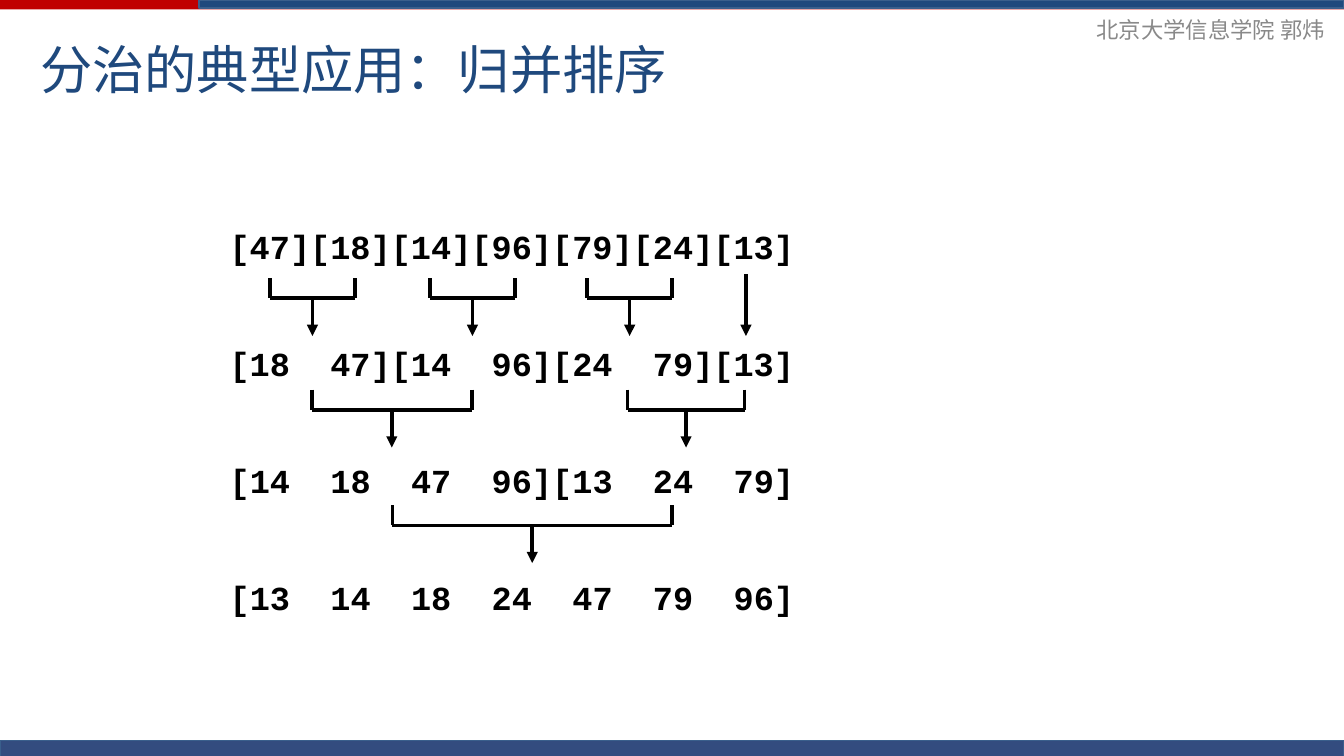
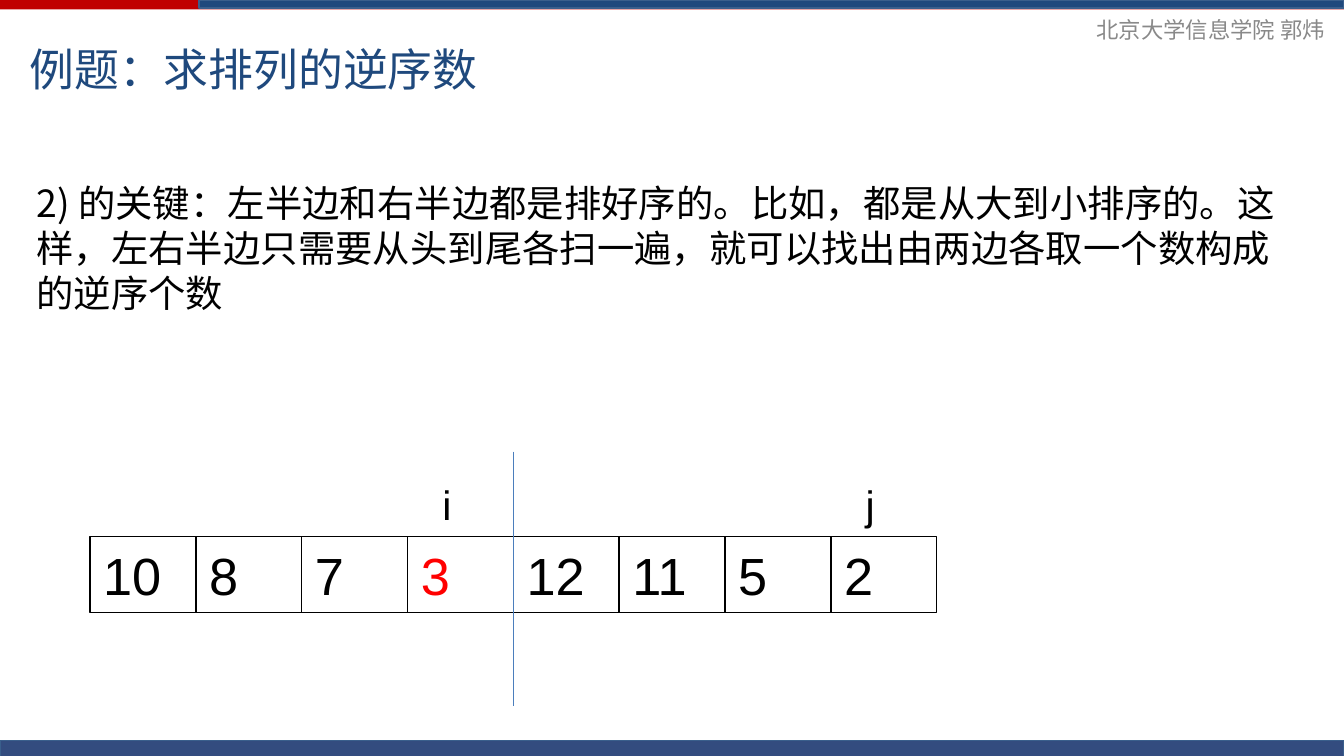
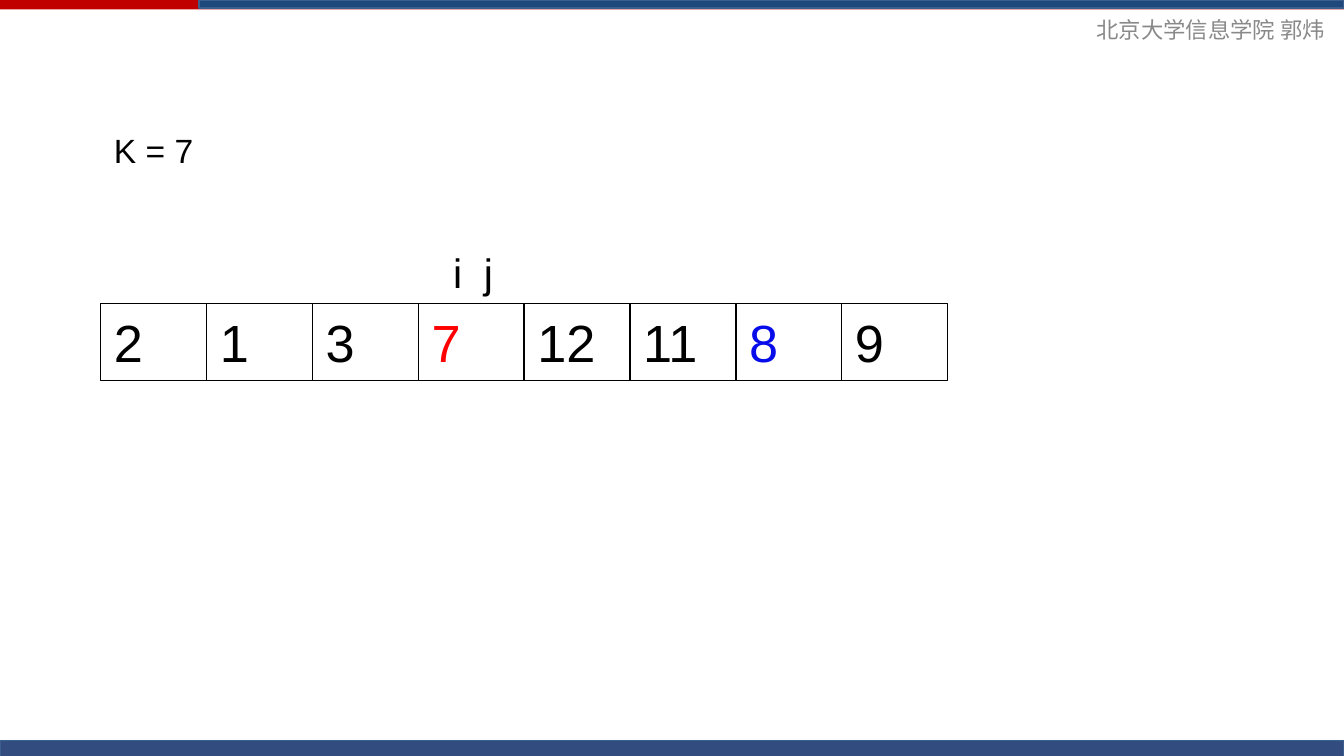
from dataclasses import dataclass, field

from lxml import etree
from pptx import Presentation
from pptx import util as u
from pptx.dml import color as dml
from pptx.enum import shapes, text
from pptx.oxml import ns

BLACK, RED, BLUE, NAVY, GREY = "000000", "FF0000", "070CEB", "1F497D", "898989"
BAND_LINE, DIVIDER = "3A5F8C", "4B7EBC"
SANS, MONO, SERIF, CJK = "Arial", "Courier New", "Times New Roman", "Noto Sans CJK SC"
TITLE_ONLY, BLANK = 5, 6
ROW_WIDTH, CELL_HEIGHT = 6.3, 0.57
POINTER_WIDTH, POINTER_HEIGHT, POINTER_INDENT = 0.39, 0.47, 0.16
STUB, ARROW = 0.15, 0.28


@dataclass(frozen=True)
class Style:
    size: float
    font: str = SANS
    color: str = BLACK
    bold: bool = False


@dataclass(frozen=True)
class Box:
    left: float
    top: float
    width: float
    height: float

    def lengths(self) -> tuple:
        return tuple(u.Inches(value) for value in (self.left, self.top, self.width, self.height))


@dataclass(frozen=True)
class Band:
    box: Box
    color: str
    outlined: bool = True
    opacity: int = 100


@dataclass(frozen=True)
class Merge:
    left: float
    right: float
    top: float


@dataclass(frozen=True)
class Pointer:
    name: str
    column: int
    shift: float = 0


@dataclass(frozen=True)
class NumberRow:
    left: float
    top: float
    values: tuple
    pointers: tuple
    highlights: dict = field(default_factory=dict)


BANDS = (
    Band(Box(0, 0, 10, 0.07), "C00000", outlined=False),
    Band(Box(1.48, 0, 8.52, 0.06), NAVY),
    Band(Box(0, 5.51, 10, 0.12), "002060", opacity=80),
)
SORT_STAGES = (
    (4.57, ((47,), (18,), (14,), (96,), (79,), (24,), (13,))),
    (4.57, ((18, 47), (14, 96), (24, 79), (13,))),
    (4.42, ((14, 18, 47, 96), (13, 24, 79))),
    (4.42, ((13, 14, 18, 24, 47, 79, 96),)),
)
MERGES = (
    Merge(2.01, 2.64, 2.07),
    Merge(3.2, 3.83, 2.07),
    Merge(4.37, 5, 2.07),
    Merge(2.32, 3.51, 2.9),
    Merge(4.67, 5.54, 2.9),
    Merge(2.92, 5, 3.76),
)
SORTED_HALVES = NumberRow(
    0.67, 3.99, (10, 8, 7, 3, 12, 11, 5, 2),
    (Pointer("i", 3), Pointer("j", 7)), {3: RED},
)
PARTITION = NumberRow(
    0.75, 2.26, (2, 1, 3, 7, 12, 11, 8, 9),
    (Pointer("i", 3), Pointer("j", 3, 0.23)), {3: RED, 6: BLUE},
)


def rgb(value: str) -> dml.RGBColor:
    return dml.RGBColor.from_string(value)


def write(shape, content: str, style: Style, align=text.PP_ALIGN.LEFT,
          anchor=text.MSO_ANCHOR.TOP, wrap: bool = True, grow: bool = False):
    frame = shape.text_frame
    frame.text = content
    frame.word_wrap = wrap
    frame.auto_size = text.MSO_AUTO_SIZE.SHAPE_TO_FIT_TEXT if grow else text.MSO_AUTO_SIZE.NONE
    frame.vertical_anchor = anchor
    paragraph = frame.paragraphs[0]
    paragraph.alignment = align
    for run in paragraph.runs:
        run.font.size = u.Pt(style.size)
        run.font.bold = style.bold
        run.font.color.rgb = rgb(style.color)
        run.font.name = style.font
        east_asian = etree.SubElement(run.font._element, ns.qn("a:ea"))
        east_asian.set("typeface", CJK)
    return frame


def add_text(slide, box: Box, content: str, style: Style, **options):
    return write(slide.shapes.add_textbox(*box.lengths()), content, style, **options)


def add_rectangle(slide, box: Box):
    shape = slide.shapes.add_shape(shapes.MSO_SHAPE.RECTANGLE, *box.lengths())
    shape.shadow.inherit = False
    return shape


def add_band(slide, band: Band) -> None:
    shape = add_rectangle(slide, band.box)
    shape.fill.solid()
    shape.fill.fore_color.rgb = rgb(band.color)
    if band.opacity < 100:
        solid = shape._element.spPr.find(ns.qn("a:solidFill"))
        etree.SubElement(solid[0], ns.qn("a:alpha")).set("val", str(band.opacity * 1000))
    if band.outlined:
        shape.line.color.rgb = rgb(BAND_LINE)
        shape.line.width = u.Pt(0)
    else:
        shape.line.fill.background()


def add_line(slide, start: tuple, end: tuple, color: str = BLACK,
             width: float = 2, arrow: bool = False) -> None:
    points = (u.Inches(value) for value in (*start, *end))
    line = slide.shapes.add_connector(shapes.MSO_CONNECTOR.STRAIGHT, *points)
    line.line.color.rgb = rgb(color)
    line.line.width = u.Pt(width)
    if arrow:
        etree.SubElement(line.line._get_or_add_ln(), ns.qn("a:tailEnd")).set("type", "triangle")
    etree.SubElement(line._element.spPr, ns.qn("a:effectLst"))


def add_merge(slide, merge: Merge) -> None:
    bar = merge.top + STUB
    middle = (merge.left + merge.right) / 2
    for side in (merge.left, merge.right):
        add_line(slide, (side, merge.top), (side, bar))
    add_line(slide, (merge.left, bar), (merge.right, bar))
    add_line(slide, (middle, bar), (middle, bar + ARROW), arrow=True)


def add_number_row(slide, row: NumberRow) -> None:
    pitch = ROW_WIDTH / len(row.values)
    for column, value in enumerate(row.values):
        cell = add_rectangle(slide, Box(row.left + column * pitch, row.top, pitch, CELL_HEIGHT))
        cell.fill.background()
        cell.line.color.rgb = rgb(BLACK)
        cell.line.width = u.Pt(0.75)
        write(cell, str(value), Style(28, color=row.highlights.get(column, BLACK)), grow=True)
    for pointer in row.pointers:
        left = row.left + pointer.column * pitch + POINTER_INDENT + pointer.shift
        box = Box(left, row.top - POINTER_HEIGHT, POINTER_WIDTH, POINTER_HEIGHT)
        add_text(slide, box, pointer.name, Style(22), grow=True)


def add_slide(presentation, layout: int):
    slide = presentation.slides.add_slide(presentation.slide_layouts[layout])
    for band in BANDS:
        add_band(slide, band)
    add_text(slide, Box(7.63, 0.07, 2.33, 0.3), "北京大学信息学院 郭炜", Style(12, SERIF, GREY),
             align=text.PP_ALIGN.RIGHT, anchor=text.MSO_ANCHOR.MIDDLE)
    return slide


def add_titled_slide(presentation, title: str, left: float, size: float):
    slide = add_slide(presentation, TITLE_ONLY)
    shape = slide.shapes.title
    shape.left, shape.top, shape.width, shape.height = Box(left, 0.14, 9, 0.74).lengths()
    write(shape, title, Style(size, color=NAVY), anchor=text.MSO_ANCHOR.MIDDLE)
    return slide


def build_merge_sort(presentation) -> None:
    slide = add_titled_slide(presentation, "分治的典型应用：归并排序", 0.2, 28)
    for index, (width, groups) in enumerate(SORT_STAGES):
        content = "".join(f"[{'  '.join(map(str, group))}]" for group in groups)
        add_text(slide, Box(1.61, 1.63 + index * 0.87, width, 0.4), content,
                 Style(18, MONO, bold=True), wrap=False, grow=True)
    for merge in MERGES:
        add_merge(slide, merge)
    add_line(slide, (5.55, 2.04), (5.55, 2.5), arrow=True)


def build_inversions(presentation) -> None:
    slide = add_titled_slide(presentation, "例题：求排列的逆序数", 0.12, 24)
    frame = add_text(
        slide, Box(0.27, 1.34, 9.45, 1.14),
        "2) 的关键：左半边和右半边都是排好序的。比如，都是从大到小排序的。这样，"
        "左右半边只需要从头到尾各扫一遍，就可以找出由两边各取一个数构成的逆序个数",
        Style(20, CJK),
    )
    frame.margin_left = frame.margin_top = frame.margin_right = frame.margin_bottom = 0
    frame.paragraphs[0].line_spacing = u.Pt(24)
    add_number_row(slide, SORTED_HALVES)
    middle = SORTED_HALVES.left + ROW_WIDTH / 2
    add_line(slide, (middle, 3.36), (middle, 5.25), DIVIDER, 0.75)


def build_partition(presentation) -> None:
    slide = add_slide(presentation, BLANK)
    add_number_row(slide, PARTITION)
    add_text(slide, Box(0.75, 0.92, 0.8, 0.4), "K = 7", Style(18), wrap=False, grow=True)


def main() -> None:
    presentation = Presentation()
    presentation.slide_width = u.Inches(10)
    presentation.slide_height = u.Inches(10 * 9 / 16)
    build_merge_sort(presentation)
    build_inversions(presentation)
    build_partition(presentation)
    presentation.save("out.pptx")


if __name__ == "__main__":
    main()
